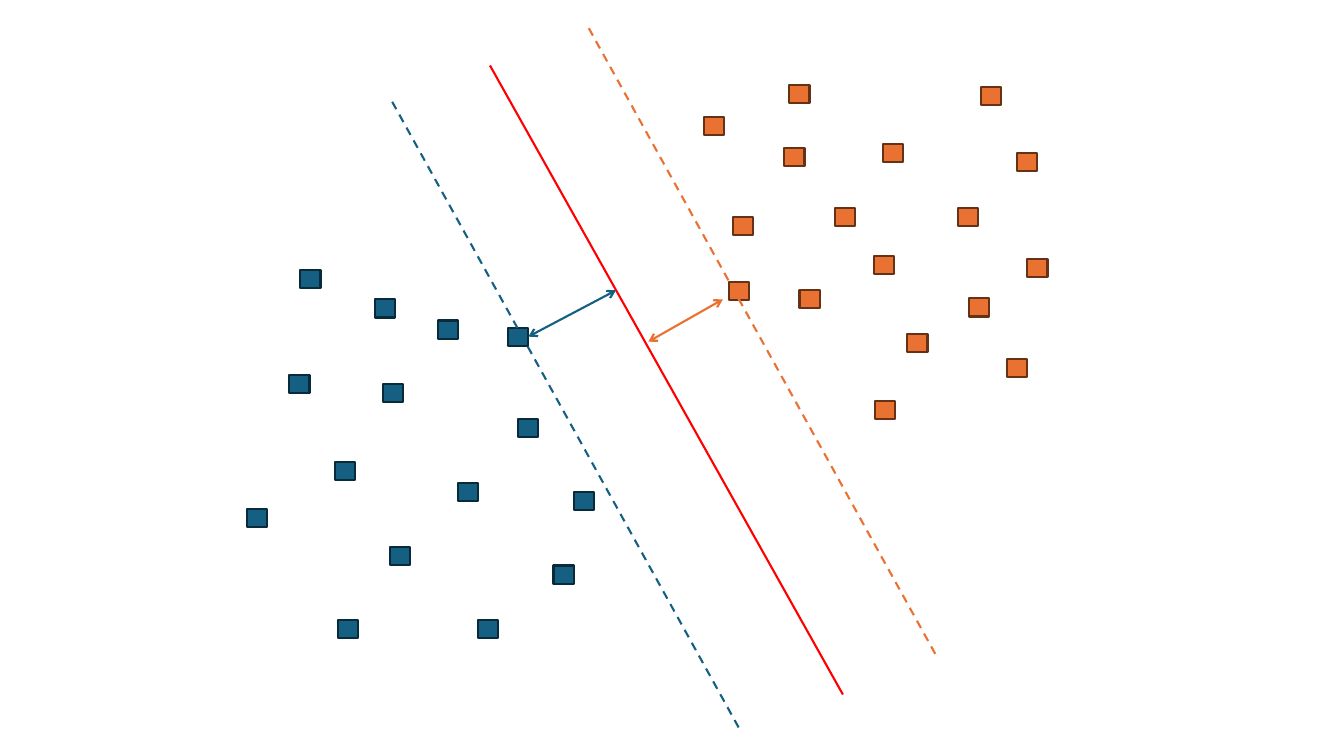
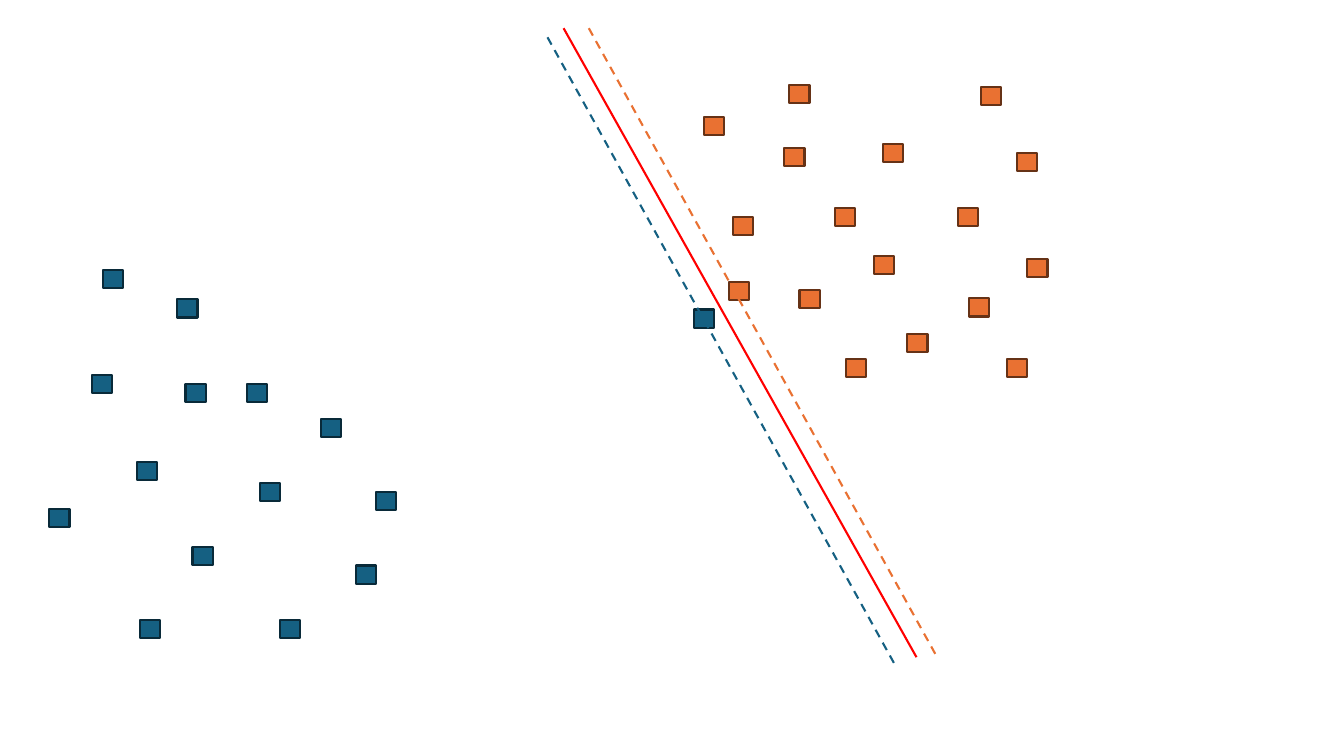
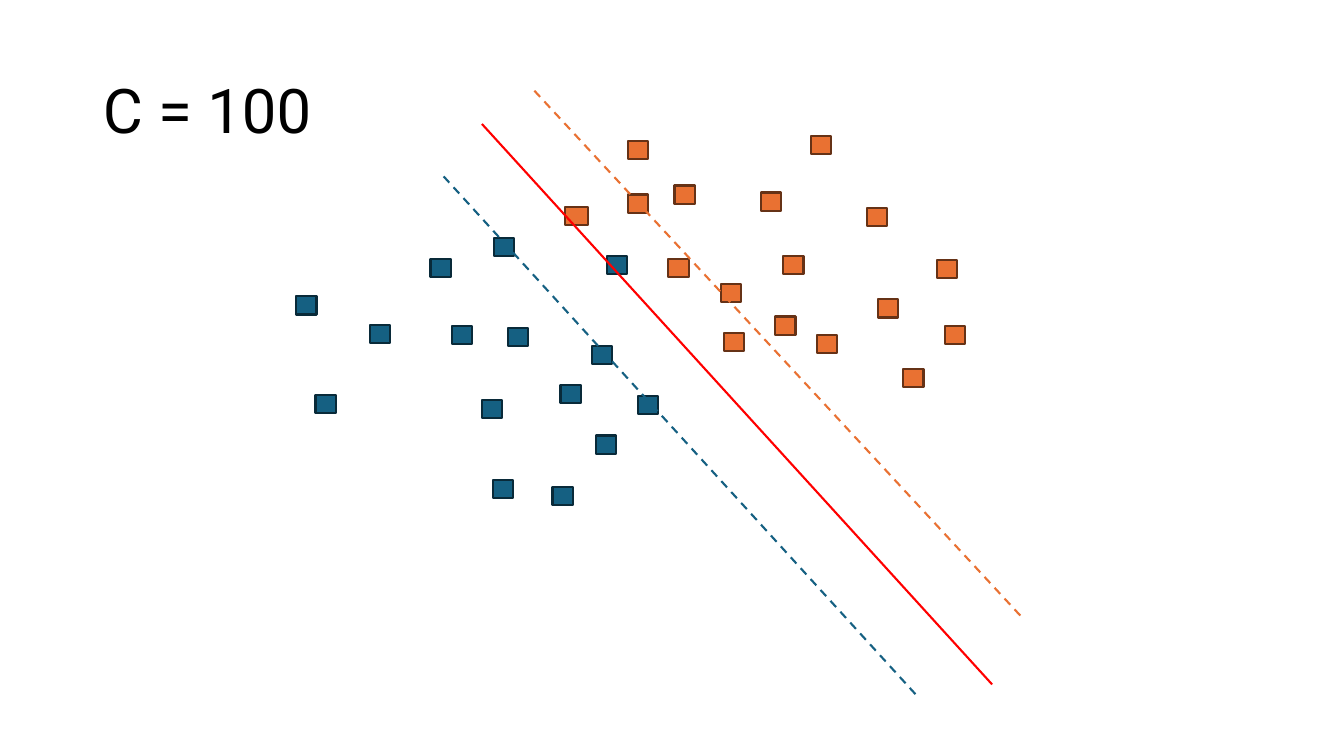
import pptx
import pptx.util
import pptx.dml.color
import pptx.enum.dml
import pptx.enum.shapes
import pptx.enum.text
import pptx.oxml.xmlchemy

BLUE, NAVY = "156082", "092A39"
ORANGE, BROWN = "E97132", "663216"
RED, BLACK = "FF0000", "000000"
INCH = 2.54
WIDE, HIGH = 0.2, 0.18
SHIFT = 1.96

HEAD = {"text": "C = 100", "at": (0.92, 0.4, 11.5, 1.45)}
FRAME = {
    "word_wrap": True,
    "vertical_anchor": pptx.enum.text.MSO_ANCHOR.MIDDLE,
    "auto_size": pptx.enum.text.MSO_AUTO_SIZE.NONE,
}
PARA = {"alignment": pptx.enum.text.PP_ALIGN.LEFT, "line_spacing": 0.9}
FONT = {"name": "Roboto", "size": pptx.util.Pt(44)}
SOLID = {"width": pptx.util.Pt(1.5)}
DASH = {**SOLID, "dash_style": pptx.enum.dml.MSO_LINE.DASH}

COLD = [
    (3.87, 5.43), (3.32, 4.58), (5.49, 5.61), (5.69, 4.88), (4.74, 6.15),
    (2.87, 3.72), (3.8, 3.81), (4.54, 4.79), (5.14, 4.16), (3.72, 2.97),
    (2.98, 2.68), (2.45, 5.05), (3.35, 6.15),
]
WARM = [
    (6.98, 1.16), (7.27, 2.15), (7.23, 2.8), (7.78, 1.47), (8.67, 2.54),
    (8.28, 2.06), (7.93, 2.88), (9.61, 2.96), (10.19, 2.57), (9, 3.31),
    (9.99, 3.56), (7.83, 0.84), (8.76, 1.43), (9.5, 2.06), (9.73, 0.86),
    (10.09, 1.52),
]
NEAR = (5.04, 3.25)
EDGE = (ORANGE, DASH, (5.84, 0.28), (9.3, 6.53))

PLOTS = [
    {
        "blue": COLD + [(4.34, 3.18), NEAR],
        "orange": WARM + [(8.68, 3.98)],
        "lines": [
            (RED, SOLID, (4.86, 0.65), (8.36, 6.89)),
            (BLUE, DASH, (3.89, 1.01), (7.35, 7.26)),
            EDGE,
        ],
        "gaps": [
            (BLUE, SOLID, (5.24, 3.34), (6.11, 2.88), NEAR),
            (ORANGE, SOLID, (6.43, 3.39), (7.17, 2.97)),
        ],
    },
    {
        "blue": [(x - SHIFT, y) for x, y in COLD] + [(2.45, 3.81), (6.88, 3.07)],
        "orange": WARM + [(8.39, 3.56)],
        "lines": [
            (RED, SOLID, (5.59, 0.28), (9.09, 6.52)),
            (BLUE, DASH, (5.43, 0.37), (8.89, 6.62)),
            EDGE,
        ],
    },
    {
        "title": HEAD,
        "blue": [
            (4.78, 3.97), (3.67, 3.22), (6.02, 2.54), (5.91, 4.32), (5.04, 3.25),
            (6.33, 3.93), (5.48, 4.83), (2.94, 2.94), (4.48, 3.23), (5.56, 3.82),
            (5.87, 3.43), (4.9, 2.36), (4.27, 2.57), (3.13, 3.92), (4.89, 4.76),
        ],
        "orange": [
            (6.23, 1.93), (5.6, 2.05, 0.23), (7.15, 2.82), (6.23, 1.4), (7.69, 3.14),
            (7.77, 2.54), (6.63, 2.57), (7.18, 3.3), (8.71, 2.97), (9.29, 2.58),
            (8.1, 3.32), (8.96, 3.66), (6.69, 1.84), (7.55, 1.91), (8.6, 2.06),
            (8.04, 1.35), (9.37, 3.23),
        ],
        "lines": [
            (RED, SOLID, (4.78, 1.23), (9.84, 6.79)),
            (BLUE, DASH, (4.4, 1.75), (9.11, 6.92)),
            (ORANGE, DASH, (5.3, 0.9), (10.15, 6.14)),
        ],
    },
]


def span(*vals):
    return [pptx.util.Cm(val * INCH) for val in vals]


def tint(part, code):
    part.rgb = pptx.dml.color.RGBColor.from_string(code)


def style(part, form):
    for key, val in form.items():
        setattr(part, key, val)


def add_dot(slide, spot, fill, rim):
    x, y, *wide = spot
    dot = slide.shapes.add_shape(
        pptx.enum.shapes.MSO_SHAPE.RECTANGLE,
        *span(x, y, wide[0] if wide else WIDE, HIGH))
    dot.shadow.inherit = False
    dot.fill.solid()
    tint(dot.fill.fore_color, fill)
    tint(dot.line.color, rim)
    style(dot.line, SOLID)
    return dot


def add_line(slide, code, form, start, end):
    line = slide.shapes.add_connector(
        pptx.enum.shapes.MSO_CONNECTOR.STRAIGHT, *span(*start, *end))
    tint(line.line.color, code)
    style(line.line, form)
    line._element.spPr.append(pptx.oxml.xmlchemy.OxmlElement("a:effectLst"))
    return line


def add_tips(line):
    stroke = line._element.spPr.ln
    for tag in ("a:headEnd", "a:tailEnd"):
        tip = pptx.oxml.xmlchemy.OxmlElement(tag)
        tip.set("type", "arrow")
        stroke.append(tip)


def set_title(slide, text, at):
    title = slide.shapes.title
    title.left, title.top, title.width, title.height = span(*at)
    frame = title.text_frame
    frame.text = text
    para = frame.paragraphs[0]
    font = para.runs[0].font
    for part, form in ((frame, FRAME), (para, PARA), (font, FONT)):
        style(part, form)
    tint(font.color, BLACK)


def add_plot(deck, plot):
    head = plot.get("title")
    slide = deck.slides.add_slide(deck.slide_layouts[5 if head else 6])
    if head:
        set_title(slide, **head)
    dots = {}
    for key, fill, rim in (("blue", BLUE, NAVY), ("orange", ORANGE, BROWN)):
        for spot in plot[key]:
            dots[spot] = add_dot(slide, spot, fill, rim)
    for line in plot["lines"]:
        add_line(slide, *line)
    for code, form, start, end, *join in plot.get("gaps", []):
        gap = add_line(slide, code, form, start, end)
        add_tips(gap)
        for spot in join:
            gap.begin_connect(dots[spot], 3)


def main():
    deck = pptx.Presentation()
    deck.slide_width, deck.slide_height = span(13.33, 7.5)
    for plot in PLOTS:
        add_plot(deck, plot)
    deck.save("out.pptx")


if __name__ == "__main__":
    main()
